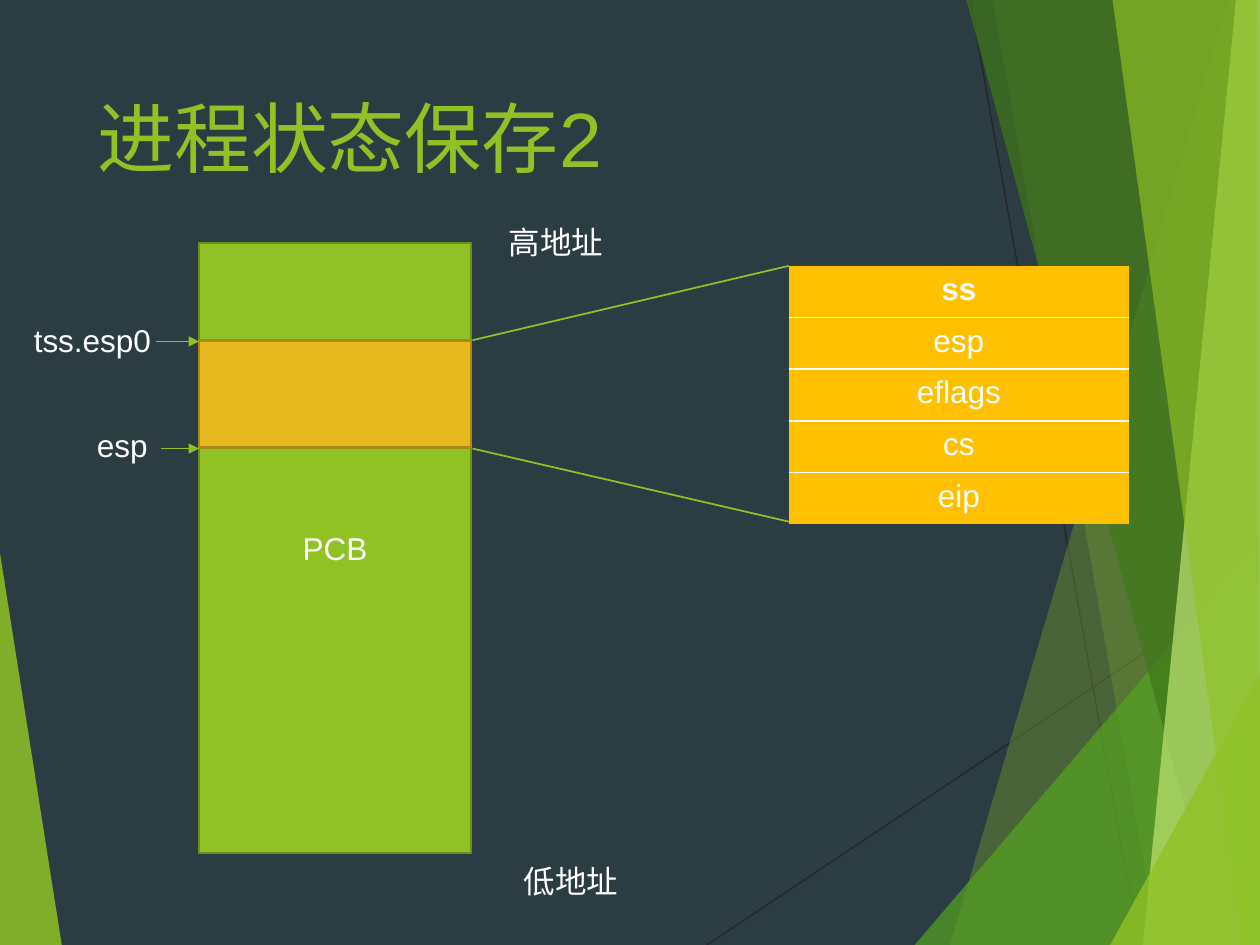
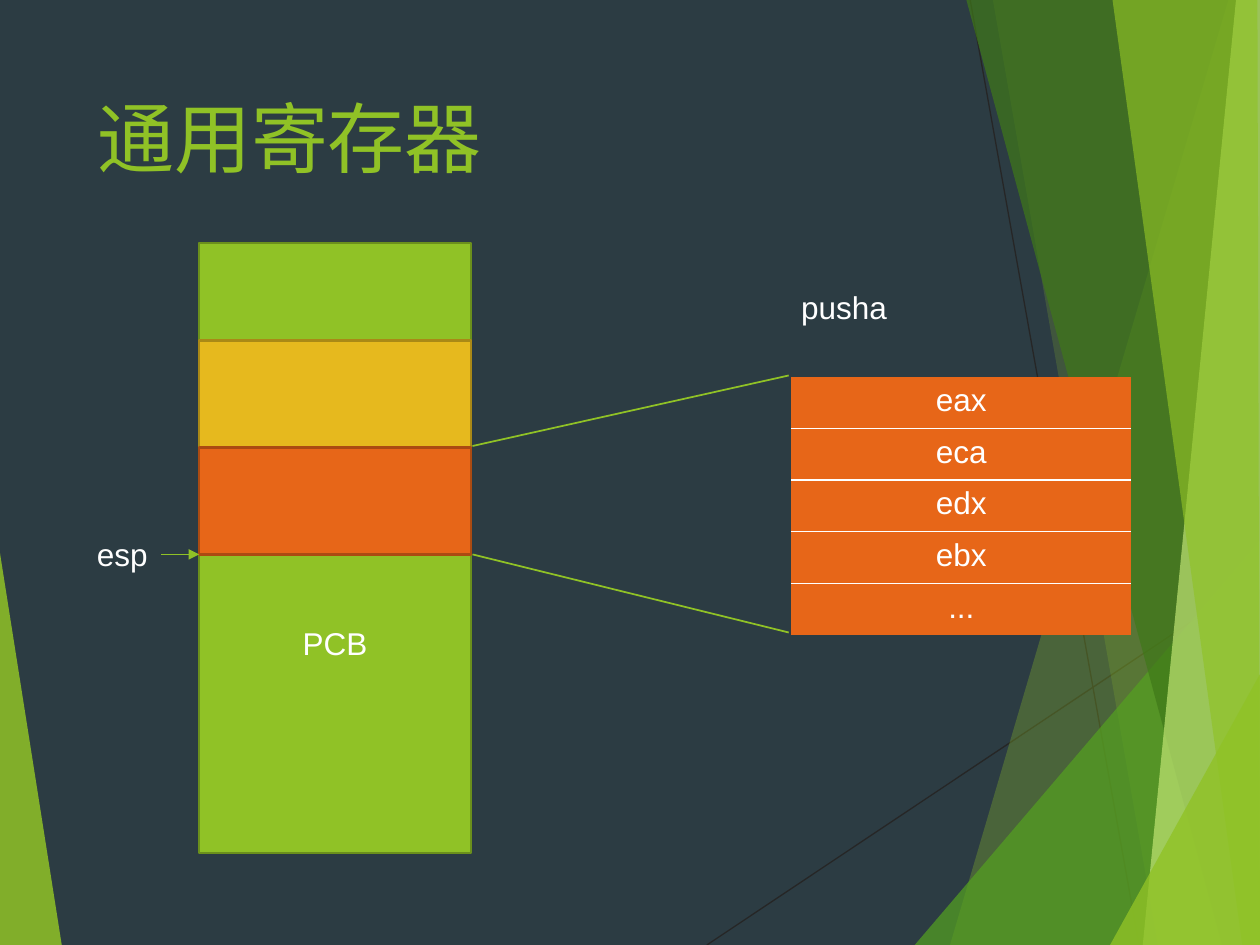
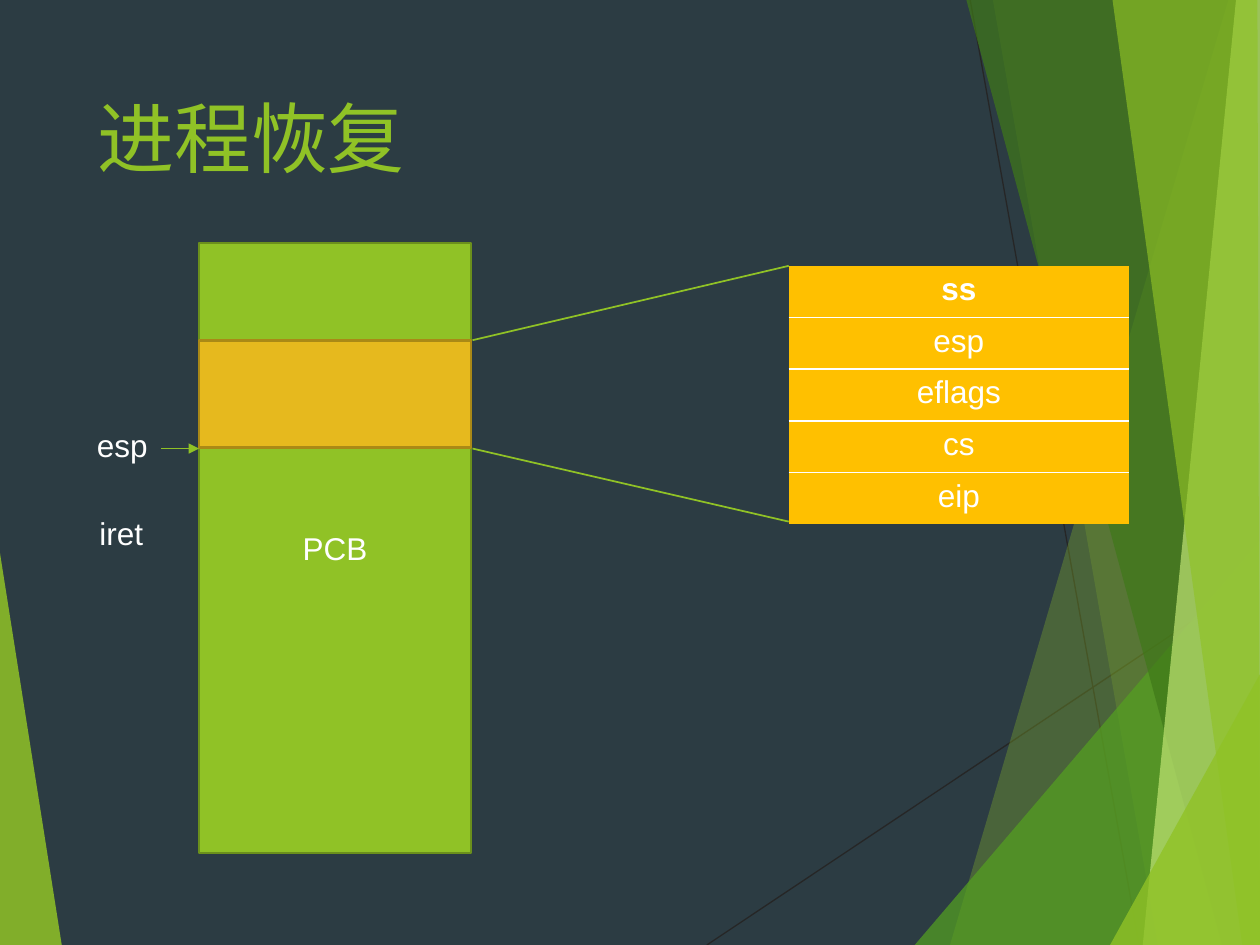
from lxml import etree
from pptx import Presentation
from pptx.dml.color import RGBColor
from pptx.enum import shapes, text
from pptx.oxml.ns import qn
from pptx.util import Inches, Pt

FONT = "Arial"
NIGHT = RGBColor(0x2C, 0x3C, 0x43)
WHITE = RGBColor(0xFF, 0xFF, 0xFF)
CHARCOAL = RGBColor(0x26, 0x26, 0x26)
LIME = RGBColor(0x90, 0xC2, 0x26)
LIME_EDGE = RGBColor(0x6B, 0x90, 0x1C)
PALE_LIME = RGBColor(0xC0, 0xE4, 0x74)
GREEN = RGBColor(0x54, 0xA0, 0x21)
FOREST = RGBColor(0x3F, 0x78, 0x19)
GOLD = RGBColor(0xE6, 0xB9, 0x1E)
GOLD_EDGE = RGBColor(0xAA, 0x89, 0x16)
AMBER = RGBColor(0xFF, 0xC0, 0x00)
ORANGE = RGBColor(0xE7, 0x66, 0x18)
ORANGE_EDGE = RGBColor(0xAB, 0x4B, 0x12)
NO_TABLE_STYLE = "{2D5ABB26-0587-4C30-8999-92F81FD0307C}"

# Colour, opacity in percent, corners in inches; back to front
SHARDS = [
    (LIME, 85, [(0, 4.39), (0.49, 7.5), (0, 7.5)]),
    (LIME, 30, [(9.75, 0), (7.54, 7.5), (10, 7.5), (10, 0)]),
    (LIME, 20, [(7.88, 0), (9.19, 7.5), (10, 7.5), (10, 0)]),
    (GREEN, 72, [(7.26, 7.5), (10, 4.29), (10, 7.5)]),
    (FOREST, 70, [(7.67, 0), (9.7, 7.5), (10, 7.5), (10, 0)]),
    (PALE_LIME, 70, [(9.81, 0), (9.07, 7.5), (10, 7.5), (10, 0)]),
    (LIME, 65, [(8.83, 0), (9.86, 7.5), (10, 7.5), (9.98, 0)]),
    (LIME, 80, [(8.81, 7.5), (10, 5.35), (10, 7.5)]),
]

STACK_LEFT, STACK_WIDTH = 1.58, 2.16
HARDWARE_FRAME = (2.7, GOLD, GOLD_EDGE)
PUSHA_FRAME = (3.55, ORANGE, ORANGE_EDGE)
TRAP_REGISTERS = ["ss", "esp", "eflags", "cs", "eip"]
ROW_HEIGHT = 0.41

SLIDES = [
    {
        "title": "进程状态保存2",
        "registers": (6.26, 2.11, AMBER, TRAP_REGISTERS),
        "bold_head": True,
        "frames": [HARDWARE_FRAME],
        "zoom": [(2.7, 2.11), (3.56, 4.14)],
        "labels": [("tss.esp0", 0.17, 2.5, 1.14), ("高地址", 3.94, 1.72, 0.96),
                   ("低地址", 4.06, 6.79, 0.96), ("esp", 0.67, 3.33, 0.61)],
        "pointers": [(1.24, 2.71), (1.28, 3.56)],
        "pcb_drop": 0,
    },
    {
        "title": "通用寄存器",
        "registers": (6.28, 2.99, ORANGE, ["eax", "eca", "edx", "ebx", "..."]),
        "bold_head": False,
        "frames": [HARDWARE_FRAME, PUSHA_FRAME],
        "zoom": [(3.54, 2.98), (4.4, 5.02)],
        "labels": [("pusha", 6.26, 2.24, 0.89), ("esp", 0.67, 4.2, 0.61)],
        "pointers": [(1.28, 4.4)],
        "pcb_drop": 0.75,
    },
    {
        "title": "进程恢复",
        "registers": (6.26, 2.11, AMBER, TRAP_REGISTERS),
        "bold_head": True,
        "frames": [HARDWARE_FRAME],
        "zoom": [(2.7, 2.11), (3.56, 4.14)],
        "labels": [("esp", 0.67, 3.33, 0.61), ("iret", 0.69, 4.03, 0.55)],
        "pointers": [(1.28, 3.56)],
        "pcb_drop": 0,
    },
]


def add_line(slide, start, end, color, width, arrow=False):
    line = slide.shapes.add_connector(
        shapes.MSO_CONNECTOR.STRAIGHT, *(Inches(v) for v in (*start, *end)))
    line.line.color.rgb = color
    line.line.width = Pt(width)
    if arrow:
        etree.SubElement(line.line._get_or_add_ln(), qn("a:tailEnd"), type="triangle")
    etree.SubElement(line.element.spPr, qn("a:effectLst"))
    return line


def write(frame, words, size=18, color=WHITE, align=text.PP_ALIGN.CENTER, bold=False):
    """Put one formatted paragraph in a text frame."""
    frame.text = words
    paragraph = frame.paragraphs[0]
    paragraph.alignment = align
    paragraph.font.name = FONT
    paragraph.font.size = Pt(size)
    paragraph.font.color.rgb = color
    paragraph.font.bold = bold


prs = Presentation()
prs.slide_width, prs.slide_height = Inches(10), Inches(7.5)
layout = prs.slide_layouts[5]
layout.background.fill.solid()
layout.background.fill.fore_color.rgb = NIGHT
for placeholder in list(layout.placeholders):
    if placeholder.placeholder_format.type != shapes.PP_PLACEHOLDER.TITLE:
        placeholder.element.getparent().remove(placeholder.element)

pages = [prs.slides.add_slide(layout) for _ in SLIDES]

# The backdrop is drawn once and moved to the shared layout
backdrop = [add_line(pages[0], (5.61, 7.5), (10, 4.57), CHARCOAL, 0.75),
            add_line(pages[0], (7.7, 0), (9.04, 7.5), CHARCOAL, 0.75)]
for color, opacity, corners in SHARDS:
    points = [(Inches(x), Inches(y)) for x, y in corners]
    outline = pages[0].shapes.build_freeform(*points[0])
    outline.add_line_segments(points[1:], close=True)
    shard = outline.convert_to_shape()
    shard.shadow.inherit = False
    shard.fill.solid()
    shard.fill.fore_color.rgb = color
    shard.line.fill.background()
    tint = shard.element.spPr.find(qn("a:solidFill")).find(qn("a:srgbClr"))
    etree.SubElement(tint, qn("a:alpha"), val=str(opacity * 1000))
    backdrop.append(shard)
for piece in backdrop:
    layout.shapes.element.append(piece.element)

for slide, content in zip(pages, SLIDES):
    title = slide.shapes.title
    title.left, title.top = Inches(0.67), Inches(0.67)
    title.width, title.height = Inches(6.94), Inches(1.44)
    title.text_frame.vertical_anchor = text.MSO_ANCHOR.TOP
    write(title.text_frame, content["title"], 44, LIME, text.PP_ALIGN.LEFT)

    left, top, fill, registers = content["registers"]
    graphic = slide.shapes.add_table(
        len(registers), 1, Inches(left), Inches(top),
        Inches(2.7), Inches(ROW_HEIGHT * len(registers)))
    next(graphic.element.iter(qn("a:tableStyleId"))).text = NO_TABLE_STYLE
    for i, register in enumerate(registers):
        graphic.table.rows[i].height = Inches(ROW_HEIGHT)
        cell = graphic.table.cell(i, 0)
        write(cell.text_frame, register, bold=content["bold_head"] and i == 0)
        properties = cell._tc.get_or_add_tcPr()
        for edge, inner in (("a:lnT", i > 0), ("a:lnB", i < len(registers) - 1)):
            if inner:
                border = etree.SubElement(properties, qn(edge), w=str(Pt(1)))
                solid = etree.SubElement(border, qn("a:solidFill"))
                etree.SubElement(solid, qn("a:srgbClr"), val=str(WHITE))
        cell.fill.solid()
        cell.fill.fore_color.rgb = fill

    blocks = [(1.93, 4.84, LIME, LIME_EDGE, "PCB")]
    blocks += [(y, 0.85, color, edge, "") for y, color, edge in content["frames"]]
    for y, height, color, edge, words in blocks:
        block = slide.shapes.add_shape(
            shapes.MSO_SHAPE.RECTANGLE, Inches(STACK_LEFT), Inches(y),
            Inches(STACK_WIDTH), Inches(height))
        block.shadow.inherit = False
        block.fill.solid()
        block.fill.fore_color.rgb = color
        block.line.color.rgb = edge
        block.line.width = Pt(1.5)
        if words:
            block.text_frame.vertical_anchor = text.MSO_ANCHOR.MIDDLE
            block.text_frame.margin_top = Inches(0.05 + 2 * content["pcb_drop"])
            write(block.text_frame, words)

    for stack_y, table_y in content["zoom"]:
        add_line(slide, (3.75, stack_y), (6.26, table_y), LIME, 1)
    for x, y in content["pointers"]:
        add_line(slide, (x, y), (STACK_LEFT, y), LIME, 1, arrow=True)
    for words, x, y, width in content["labels"]:
        label = slide.shapes.add_textbox(Inches(x), Inches(y), Inches(width), Inches(0.4))
        label.text_frame.word_wrap = False
        label.text_frame.auto_size = text.MSO_AUTO_SIZE.SHAPE_TO_FIT_TEXT
        write(label.text_frame, words, align=text.PP_ALIGN.LEFT)

prs.save("out.pptx")
